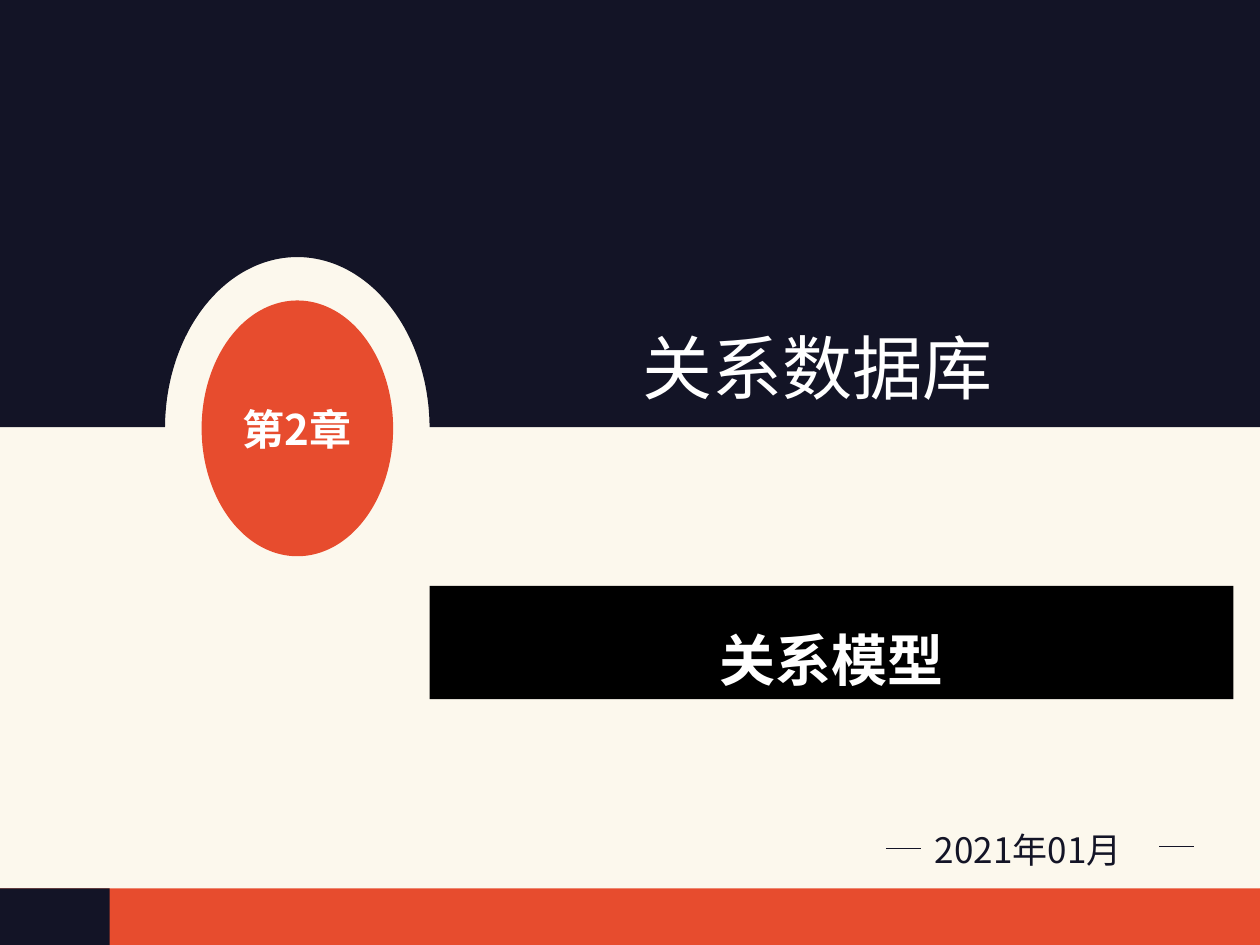
"""Build the chapter cover slide for the relational database course."""
import math
from dataclasses import dataclass

from pptx import Presentation
from pptx import util as u
from pptx.dml.color import RGBColor
from pptx.enum import shapes, text
from pptx.oxml.ns import qn


@dataclass(frozen=True)
class Theme:
    font: str = "Noto Sans CJK SC"
    navy: str = "131426"
    orange: str = "E74C2E"
    cream: str = "FCF8ED"
    black: str = "000000"
    white: str = "FFFFFF"
    title: int = 40
    topic: int = 32
    badge: int = 24
    date: int = 20
    rule: float = 0.5


THEME = Theme()
WIDTH, HEIGHT = 10, 7.5
HORIZON = 3.39
FOOTER_TOP = 7.05
FOOTER_SPLIT = 0.87
BADGE_CENTRE = (2.36, 3.4)
BADGE_SIZE = (1.52, 2.03)
ARCH_RADII = (1.05, 1.36)
ARCH_STEPS = 90
FOOTER_HEIGHT = HEIGHT - FOOTER_TOP
BADGE_BOX = tuple(c - s / 2 for c, s in zip(BADGE_CENTRE, BADGE_SIZE)) + BADGE_SIZE

PANELS = [
    ((0, 0, WIDTH, HEIGHT), THEME.cream),
    ((0, FOOTER_TOP, WIDTH, FOOTER_HEIGHT), THEME.orange),
    ((0, FOOTER_TOP, FOOTER_SPLIT, FOOTER_HEIGHT), THEME.navy),
]
BADGE = ("第2章", THEME.badge, THEME.white, True)
DATE = ("2021年01月", THEME.date, THEME.navy, False)
TITLE = ("关系数据库", THEME.title, THEME.white, False)
TOPIC = ("关系模型", THEME.topic, THEME.white, True)
DATE_BOX = (7.32, 6.53, 1.9, 0.77)
TITLE_BOX = (3.75, 2.53, 5.48, 0.77)
TOPIC_BOX = (3.41, 4.65, 6.38, 0.9)
DASH_WIDTH = 0.28
DASHES = [(7.03, 6.73), (9.2, 6.72)]


def inches(values):
    return [u.Inches(value) for value in values]


def paint(shape, color):
    shape.shadow.inherit = False
    shape.fill.solid()
    shape.fill.fore_color.rgb = RGBColor.from_string(color)
    shape.line.fill.background()


def add_panel(page, kind, bounds, color):
    shape = page.shapes.add_shape(kind, *inches(bounds))
    paint(shape, color)
    return shape


def write(shape, content, align, anchor):
    words, size, color, bold = content
    frame = shape.text_frame
    frame.word_wrap = True
    frame.vertical_anchor = anchor
    para = frame.paragraphs[0]
    para.alignment = align
    span = para.add_run()
    span.text = words
    span.font.size = u.Pt(size)
    span.font.bold = bold
    span.font.color.rgb = RGBColor.from_string(color)
    span.font.name = THEME.font
    east_asian = span.font._element.makeelement(qn("a:ea"), {"typeface": THEME.font})
    span.font._element.append(east_asian)
    return para


def add_text(page, bounds, content, align):
    box = page.shapes.add_textbox(*inches(bounds))
    write(box, content, align, text.MSO_ANCHOR.TOP)


def add_sky(page):
    centre_x, centre_y = BADGE_CENTRE
    radius_x, radius_y = ARCH_RADII
    angles = [math.pi * step / ARCH_STEPS for step in range(ARCH_STEPS + 1)]
    arch = [(centre_x + radius_x * math.cos(angle),
             min(HORIZON, centre_y - radius_y * math.sin(angle))) for angle in angles]
    outline = [(WIDTH, 0), (WIDTH, HORIZON), *arch, (0, HORIZON)]
    builder = page.shapes.build_freeform(0, 0)
    builder.add_line_segments([inches(point) for point in outline], close=True)
    paint(builder.convert_to_shape(), THEME.navy)


def add_dash(page, left, top):
    dash = page.shapes.add_connector(
        shapes.MSO_CONNECTOR.STRAIGHT, *inches((left, top, left + DASH_WIDTH, top)))
    dash.line.color.rgb = RGBColor.from_string(THEME.navy)
    dash.line.width = u.Pt(THEME.rule)
    properties = dash._element.spPr
    properties.append(properties.makeelement(qn("a:effectLst"), {}))


def main():
    deck = Presentation()
    deck.slide_width, deck.slide_height = inches((WIDTH, HEIGHT))
    page = deck.slides.add_slide(deck.slide_layouts[6])
    rectangle, oval = shapes.MSO_SHAPE.RECTANGLE, shapes.MSO_SHAPE.OVAL
    centre, middle = text.PP_ALIGN.CENTER, text.MSO_ANCHOR.MIDDLE

    for bounds, color in PANELS:
        add_panel(page, rectangle, bounds, color)
    add_sky(page)
    write(add_panel(page, oval, BADGE_BOX, THEME.orange), BADGE, centre, middle)

    add_text(page, DATE_BOX, DATE, text.PP_ALIGN.LEFT)
    for left, top in DASHES:
        add_dash(page, left, top)
    add_text(page, TITLE_BOX, TITLE, centre)

    topic = write(add_panel(page, rectangle, TOPIC_BOX, THEME.black), TOPIC, centre, middle)
    topic.line_spacing = 1.5
    topic.space_after = u.Pt(6)
    deck.save("out.pptx")


if __name__ == "__main__":
    main()
